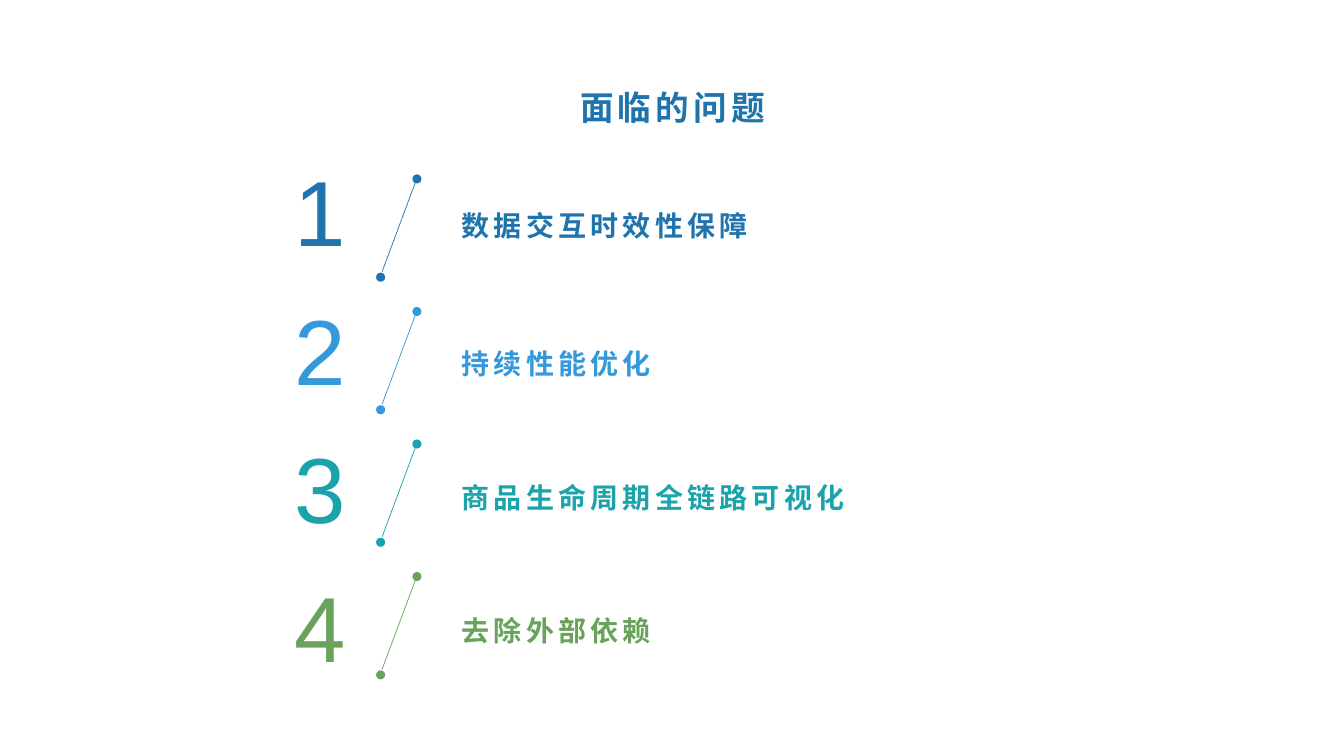
"""Build a slide that lists four problems beside numbered slanted markers."""
import pptx
import pptx.dml.color
import pptx.enum.shapes
import pptx.enum.text
import pptx.oxml
import pptx.util

Inches = pptx.util.Inches
Pt = pptx.util.Pt
RGBColor = pptx.dml.color.RGBColor
Anchor = pptx.enum.text.MSO_ANCHOR
Align = pptx.enum.text.PP_ALIGN

NAVY = RGBColor(0x1F, 0x74, 0xAD)
BLUE = RGBColor(0x34, 0x98, 0xDB)
TEAL = RGBColor(0x1A, 0xA3, 0xAA)
GREEN = RGBColor(0x69, 0xA3, 0x5B)

PROBLEMS = [
    ("数据交互时效性保障", NAVY, 1.96),
    ("持续性能优化", BLUE, 3.33),
    ("商品生命周期全链路可视化", TEAL, 4.66),
    ("去除外部依赖", GREEN, 5.98),
]
NUMBER_TOP, NUMBER_PITCH = 1.56, 1.375
MARKER_TOP, MARKER_PITCH = 1.73, 1.315
DOT_SIZE = 0.09


def write_text(box, text, size, color, line_spacing, tracking, bold=False,
               anchor=Anchor.TOP, align=Align.LEFT, bottom=0.05):
    frame = box.text_frame
    frame.word_wrap = True
    frame.auto_size = pptx.enum.text.MSO_AUTO_SIZE.NONE
    frame.vertical_anchor = anchor
    frame.margin_bottom = Inches(bottom)
    para = frame.paragraphs[0]
    para.alignment = align
    para.line_spacing = line_spacing
    span = para.add_run()
    span.text = text
    span.font.name = "Arial"
    span.font.size = Pt(size)
    span.font.bold = bold
    span.font.color.rgb = color
    span.font._element.set("spc", str(int(tracking * 100)))


def add_title(page, text):
    title = page.shapes.title
    title.left, title.top = Inches(2.2), Inches(0.68)
    title.width, title.height = Inches(8.94), Inches(0.69)
    write_text(title, text, 24, NAVY, 1.2, 3, bold=True,
               anchor=Anchor.MIDDLE, align=Align.CENTER)


def add_number(page, number, top, color):
    box = page.shapes.add_textbox(
        Inches(2.82), Inches(top), Inches(0.73), Inches(1.22))
    write_text(box, str(number), 66, color, 0.95, 1.5)


def add_dot(page, left, top, color):
    dot = page.shapes.add_shape(
        pptx.enum.shapes.MSO_SHAPE.OVAL, Inches(left), Inches(top),
        Inches(DOT_SIZE), Inches(DOT_SIZE))
    dot.shadow.inherit = False
    dot.fill.solid()
    dot.fill.fore_color.rgb = color
    dot.line.fill.background()


def add_marker(page, top, color):
    line = page.shapes.add_connector(
        pptx.enum.shapes.MSO_CONNECTOR.STRAIGHT,
        Inches(3.79), Inches(top + 0.965), Inches(4.12), Inches(top + 0.08))
    line.line.color.rgb = color
    line.line.width = Pt(0.5)
    line._element.spPr.append(pptx.oxml.parse_xml(
        '<a:effectLst xmlns:a='
        '"http://schemas.openxmlformats.org/drawingml/2006/main"/>'))
    add_dot(page, 4.09, top, color)
    add_dot(page, 3.73, top + 0.975, color)


def add_label(page, text, top, color):
    box = page.shapes.add_textbox(
        Inches(4.48), Inches(top), Inches(6.03), Inches(0.44))
    write_text(box, text, 20, color, 1.05, 3, bold=True,
               anchor=Anchor.BOTTOM, bottom=0)


def main():
    deck = pptx.Presentation()
    deck.slide_width, deck.slide_height = Inches(13.33), Inches(7.5)
    page = deck.slides.add_slide(deck.slide_layouts.get_by_name("Title Only"))
    add_title(page, "面临的问题")
    for index, (text, color, label_top) in enumerate(PROBLEMS):
        add_number(page, index + 1, NUMBER_TOP + index * NUMBER_PITCH, color)
        add_marker(page, MARKER_TOP + index * MARKER_PITCH, color)
        add_label(page, text, label_top, color)
    deck.save("out.pptx")


if __name__ == "__main__":
    main()
